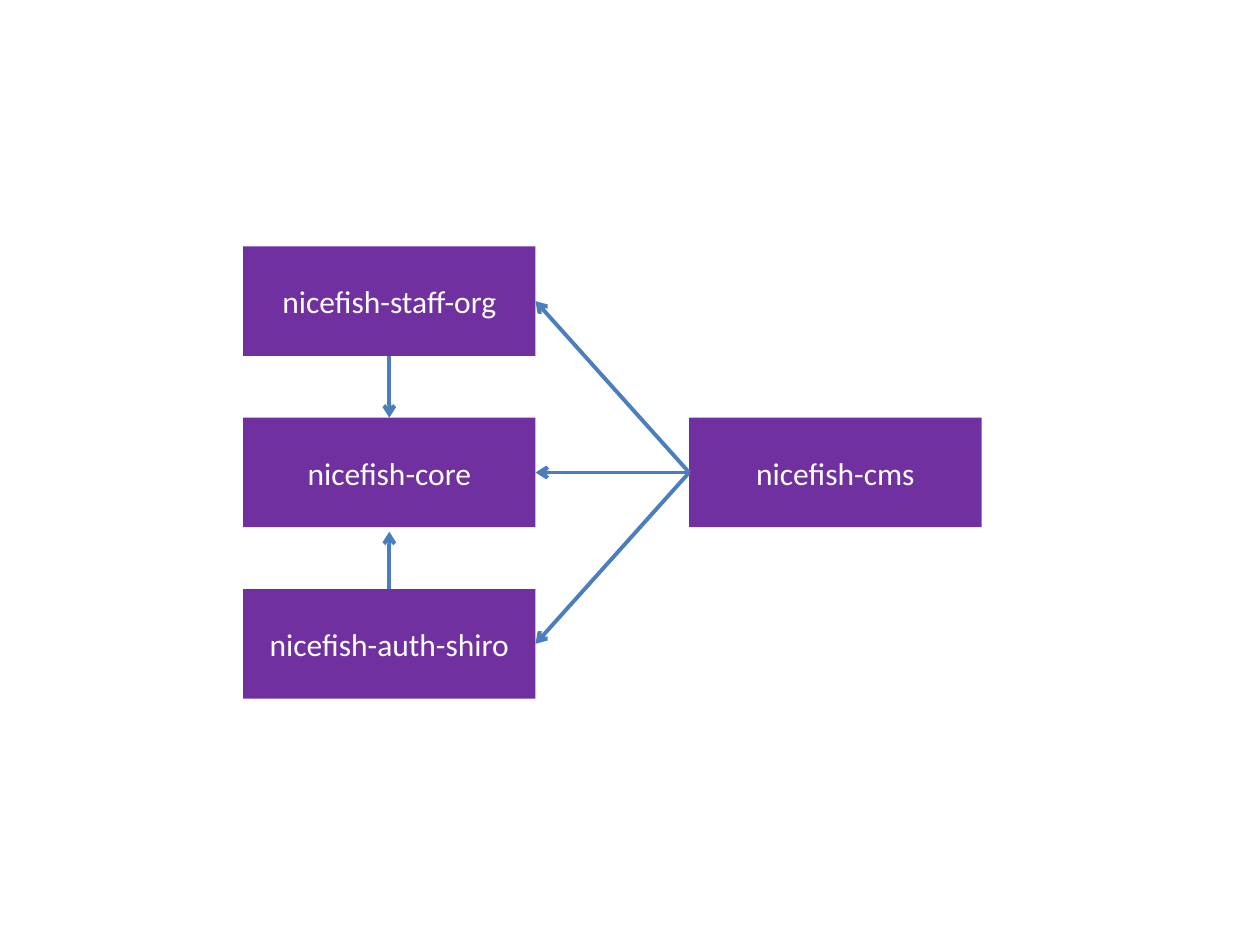
from dataclasses import dataclass

from lxml.etree import SubElement
from pptx import Presentation
from pptx.dml.color import RGBColor
from pptx.enum.shapes import MSO_CONNECTOR, MSO_SHAPE
from pptx.enum.text import MSO_ANCHOR, PP_ALIGN
from pptx.oxml.ns import qn
from pptx.util import Inches, Pt

BOX_WIDTH, BOX_HEIGHT = 2.32, 0.87
LEFT_COLUMN, RIGHT_COLUMN = 3.09, 6.63
MIDDLE_ROW, ROW_STEP = 3.75, 1.36
PURPLE, BLUE, WHITE = "7030A0", "4B7EBC", "FFFFFF"


@dataclass(frozen=True)
class Module:
    """A module box, placed by its centre."""
    name: str
    center_x: float
    row: int

    def point(self, across: int, down: int) -> tuple[float, float]:
        """Return a point on the box; -1, 0 and 1 mean near edge, middle and far edge."""
        return (self.center_x + across * BOX_WIDTH / 2,
                MIDDLE_ROW + self.row * ROW_STEP + down * BOX_HEIGHT / 2)


@dataclass(frozen=True)
class Dependency:
    """An arrow between two points."""
    start: tuple[float, float]
    end: tuple[float, float]


CORE = Module("nicefish-core", LEFT_COLUMN, 0)
AUTH = Module("nicefish-auth-shiro", LEFT_COLUMN, 1)
STAFF = Module("nicefish-staff-org", LEFT_COLUMN, -1)
CMS = Module("nicefish-cms", RIGHT_COLUMN, 0)

DEPENDENCIES = [
    Dependency(STAFF.point(0, 1), CORE.point(0, -1)),
    Dependency(AUTH.point(0, -1), (LEFT_COLUMN, 4.22)),
] + [
    Dependency(CMS.point(-1, 0), target.point(1, 0)) for target in (CORE, AUTH, STAFF)
]


def color(value: str) -> RGBColor:
    """Turn a hex string into a colour."""
    return RGBColor.from_string(value)


def draw_module(page, module: Module) -> None:
    """Draw a filled box with the module name."""
    left, top = module.point(-1, -1)
    box = page.shapes.add_shape(
        MSO_SHAPE.RECTANGLE,
        Inches(left), Inches(top), Inches(BOX_WIDTH), Inches(BOX_HEIGHT))
    box.shadow.inherit = False
    box.fill.solid()
    box.fill.fore_color.rgb = color(PURPLE)
    box.line.fill.background()
    frame = box.text_frame
    frame.word_wrap = True
    frame.vertical_anchor = MSO_ANCHOR.MIDDLE
    para = frame.paragraphs[0]
    para.alignment = PP_ALIGN.CENTER
    span = para.add_run()
    span.text = module.name
    span.font.name = "Calibri"
    span.font.size = Pt(18)
    span.font.color.rgb = color(WHITE)


def draw_dependency(page, dependency: Dependency) -> None:
    """Draw an arrow from a module to the one it depends on."""
    ends = [Inches(value) for value in dependency.start + dependency.end]
    arrow = page.shapes.add_connector(MSO_CONNECTOR.STRAIGHT, *ends)
    arrow.line.color.rgb = color(BLUE)
    arrow.line.width = Pt(2.25)
    properties = arrow.element.spPr
    SubElement(properties.find(qn("a:ln")), qn("a:tailEnd"), type="arrow")
    SubElement(properties, qn("a:effectLst"))


def main() -> None:
    """Build the module dependency slide."""
    deck = Presentation()
    deck.slide_width, deck.slide_height = Inches(10), Inches(7.5)
    page = deck.slides.add_slide(deck.slide_layouts[6])
    for module in (CORE, AUTH, STAFF, CMS):
        draw_module(page, module)
    for dependency in DEPENDENCIES:
        draw_dependency(page, dependency)
    deck.save("out.pptx")


main()
